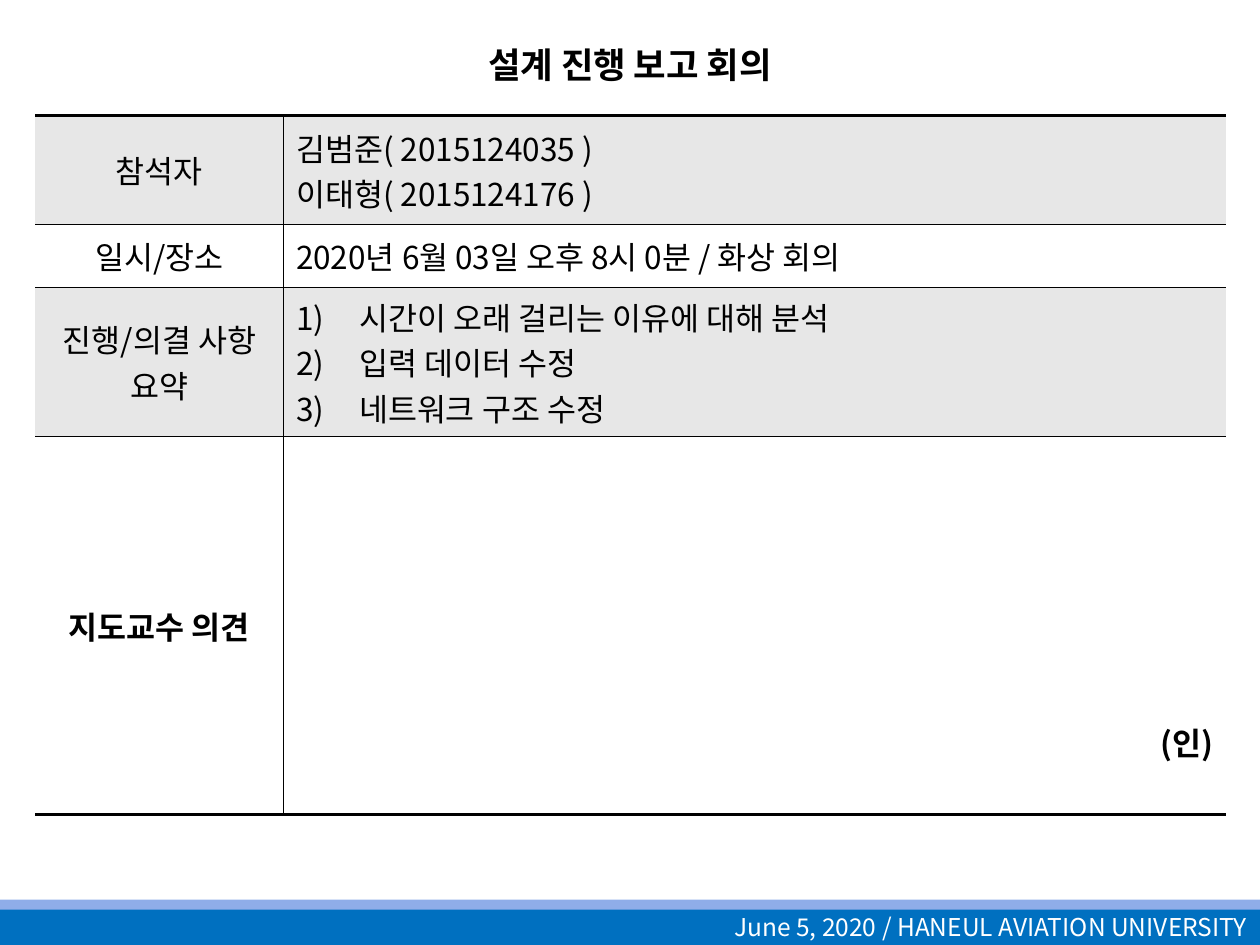
import pptx
import pptx.util
import pptx.dml.color
import pptx.enum.shapes
import pptx.enum.text
import pptx.oxml
import pptx.oxml.ns

Inches = pptx.util.Inches
ALIGN = pptx.enum.text.PP_ALIGN
ANCHOR = pptx.enum.text.MSO_ANCHOR
FONT = "Noto Sans CJK KR"
BLACK, WHITE, GREY = "000000", "FFFFFF", "E7E7E7"
COLUMN_WIDTHS = [1.97, 7.48]
ROW_HEIGHTS = [0.86, 0.5, 1.18, 3.0]
ROWS = [
    ("참석자", ["김범준( 2015124035 )", "이태형( 2015124176 )"]),
    ("일시/장소", ["2020년 6월 03일 오후 8시 0분 / 화상 회의"]),
    ("진행/의결 사항 요약", ["시간이 오래 걸리는 이유에 대해 분석", "입력 데이터 수정", "네트워크 구조 수정"]),
    ("지도교수 의견", ["(인)"]),
]
NUMBERED_ROW, OPINION_ROW = 2, 3


def color(value):
    return pptx.dml.color.RGBColor.from_string(value)


def add_xml(parent, tag, body="", **attributes):
    """Append a drawing element built from its tag, attributes and inner XML."""
    listed = " ".join(f'{name}="{value}"' for name, value in attributes.items())
    namespace = pptx.oxml.ns.nsdecls("a")
    parent.append(pptx.oxml.parse_xml(f"<a:{tag} {namespace} {listed}>{body}</a:{tag}>"))


def write_paragraphs(text_frame, lines, align=ALIGN.LEFT, size=18, bold=False, text_color=BLACK):
    for index, line in enumerate(lines):
        paragraph = text_frame.paragraphs[0] if index == 0 else text_frame.add_paragraph()
        paragraph.alignment = align
        run = paragraph.add_run()
        run.text = line
        formats = {"name": FONT, "size": pptx.util.Pt(size), "bold": bold}
        for name, value in formats.items():
            setattr(run.font, name, value)
        run.font.color.rgb = color(text_color)
        add_xml(run.font._element, "ea", typeface=FONT)


def number_paragraphs(text_frame):
    for paragraph in text_frame.paragraphs:
        properties = paragraph._p.get_or_add_pPr()
        properties.set("marL", str(Inches(0.5)))
        properties.set("indent", str(-Inches(0.5)))
        add_xml(properties, "buFont", typeface="+mj-lt")
        add_xml(properties, "buAutoNum", type="arabicParenR")


def set_borders(cell, widths):
    """Draw the sides with a width; hide the others. Must precede the fill."""
    properties = cell._tc.get_or_add_tcPr()
    for side in "LRTB":
        width = widths.get(side, 0)
        if width:
            body = f'<a:solidFill><a:srgbClr val="{BLACK}"/></a:solidFill>'
        else:
            body = "<a:noFill/>"
        add_xml(properties, f"ln{side}", body, w=pptx.util.Pt(width))


def add_bar(slide, top, height, fill):
    shape = slide.shapes.add_shape(
        pptx.enum.shapes.MSO_SHAPE.RECTANGLE, 0, Inches(top), Inches(10), Inches(height))
    shape.shadow.inherit = False
    shape.fill.solid()
    shape.fill.fore_color.rgb = color(fill)
    shape.line.fill.background()
    return shape


def add_title(slide, text):
    title = slide.shapes.title
    box = {"left": 0.75, "top": 0.21, "width": 8.5, "height": 0.55}
    for name, value in box.items():
        setattr(title, name, Inches(value))
    title.text_frame.vertical_anchor = ANCHOR.MIDDLE
    title.text_frame.auto_size = pptx.enum.text.MSO_AUTO_SIZE.NONE
    write_paragraphs(title.text_frame, [text], ALIGN.CENTER, 25.2, True)
    title.text_frame.paragraphs[0].runs[0].font._element.set("cap", "small")


def add_report_table(slide):
    last = len(ROWS) - 1
    frame = slide.shapes.add_table(
        len(ROWS), len(COLUMN_WIDTHS), Inches(0.28), Inches(0.92),
        Inches(sum(COLUMN_WIDTHS)), Inches(sum(ROW_HEIGHTS)))
    table = frame.table
    table.first_row = table.horz_banding = False
    for column, width in zip(table.columns, COLUMN_WIDTHS):
        column.width = Inches(width)

    for index, (label, lines) in enumerate(ROWS):
        table.rows[index].height = Inches(ROW_HEIGHTS[index])
        label_cell, content_cell = table.cell(index, 0), table.cell(index, 1)
        edges = {"T": 2 if index == 0 else 1, "B": 2 if index == last else 1}
        for cell, inner_side in ((label_cell, "R"), (content_cell, "L")):
            set_borders(cell, {**edges, inner_side: 1})
            cell.fill.solid()
            cell.fill.fore_color.rgb = color(WHITE if index % 2 else GREY)
            cell.vertical_anchor = ANCHOR.MIDDLE
        is_opinion = index == OPINION_ROW
        write_paragraphs(label_cell.text_frame, [label], ALIGN.CENTER, bold=is_opinion)
        write_paragraphs(content_cell.text_frame, lines,
                         ALIGN.RIGHT if is_opinion else ALIGN.LEFT, bold=is_opinion)

    number_paragraphs(table.cell(NUMBERED_ROW, 1).text_frame)
    # The seal mark sits low in the opinion cell
    seal_cell = table.cell(OPINION_ROW, 1)
    seal_cell.vertical_anchor = ANCHOR.BOTTOM
    seal_cell.margin_bottom = Inches(0.4)


def main():
    presentation = pptx.Presentation()
    presentation.slide_width, presentation.slide_height = Inches(10), Inches(7.5)
    slide = presentation.slides.add_slide(presentation.slide_layouts[0])
    subtitle = slide.placeholders[1]._element
    subtitle.getparent().remove(subtitle)

    # Footer bars
    footer = add_bar(slide, 7.21, 0.29, "0070C0")
    footer.text_frame.vertical_anchor = ANCHOR.MIDDLE
    write_paragraphs(footer.text_frame, ["June 5, 2020 / HANEUL AVIATION UNIVERSITY"],
                     ALIGN.RIGHT, 14, text_color=WHITE)
    add_bar(slide, 7.14, 0.08, "8FADE9")

    # Title and report
    add_title(slide, "설계 진행 보고 회의")
    add_report_table(slide)
    presentation.save("out.pptx")


if __name__ == "__main__":
    main()
